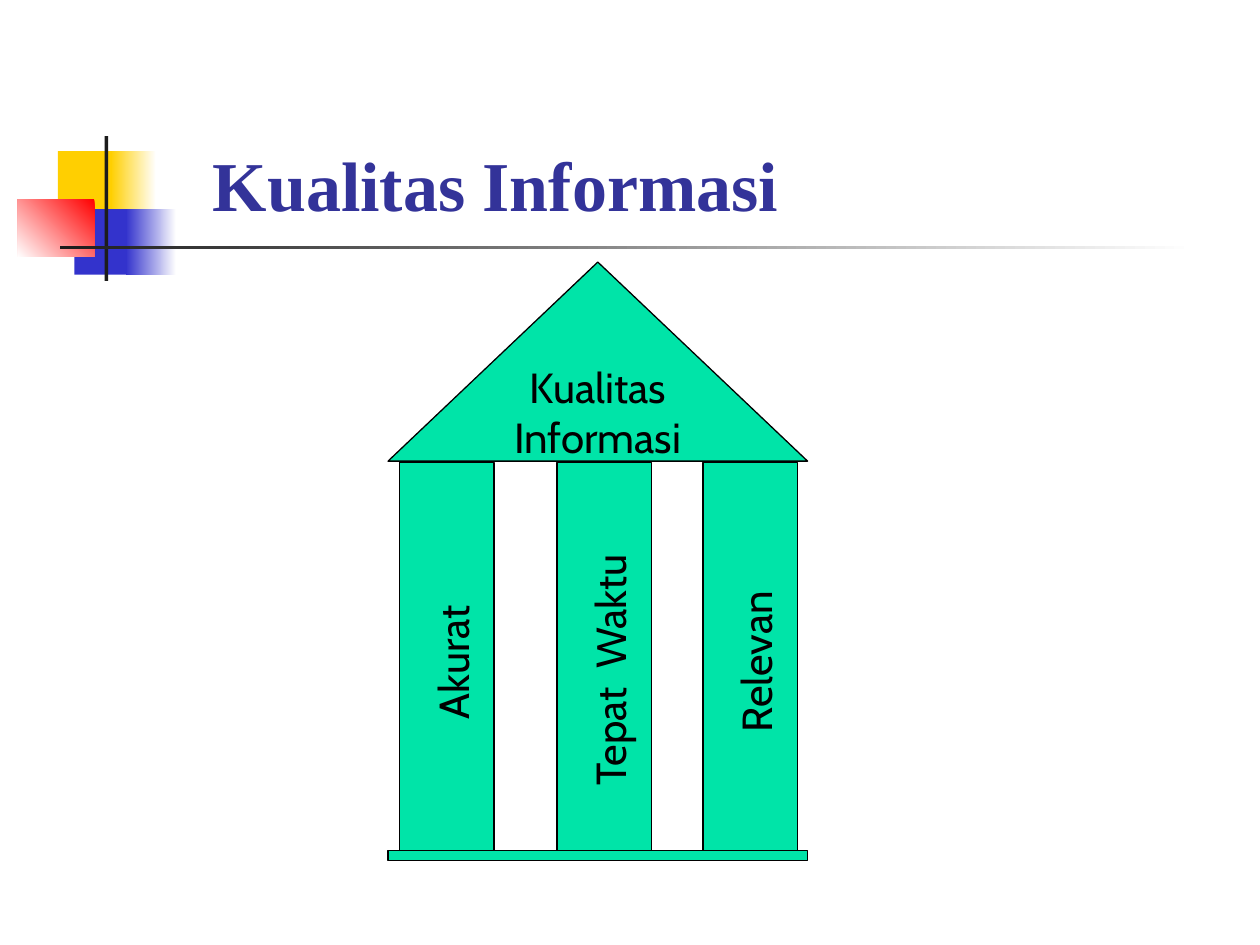
from pptx import Presentation
from pptx.dml.color import RGBColor
from pptx.enum.shapes import MSO_SHAPE
from pptx.enum.text import MSO_ANCHOR, MSO_AUTO_SIZE, PP_ALIGN
from pptx.util import Inches, Pt

COLORS = {
    "white": "FFFFFF", "yellow": "FFCF01", "blue": "3333CC", "red": "FF0000",
    "dark": "1C1C1C", "title": "333399", "green": "00E4A8", "black": "000000",
}


def rgb(name):
    """Return the named palette colour."""
    return RGBColor.from_string(COLORS[name])


def write(tf, text, size=24, font="Cabin", color="black", bold=False,
          align=PP_ALIGN.LEFT, anchor=MSO_ANCHOR.TOP, wrap=True, before=0):
    """Fill a text frame, one paragraph per line of text."""
    tf.word_wrap = wrap
    tf.vertical_anchor = anchor
    for i, line in enumerate(text.split("\n")):
        p = tf.add_paragraph() if i else tf.paragraphs[0]
        p.alignment = align
        p.space_before = Pt(before)
        r = p.add_run()
        r.text = line
        r.font.size = Pt(size)
        r.font.name = font
        r.font.bold = bold
        r.font.color.rgb = rgb(color)


class Deck:
    """Holds the current slide and its drawing style."""

    def __init__(self, s, line_width=0.74):
        self.s = s
        self.line_width = line_width

    def shape(self, x, y, w, h, fill, line=None, kind=MSO_SHAPE.RECTANGLE):
        """Add a solid preset shape."""
        sp = self.s.shapes.add_shape(kind, Inches(x), Inches(y), Inches(w), Inches(h))
        sp.shadow.inherit = False
        sp.fill.solid()
        sp.fill.fore_color.rgb = rgb(fill)
        if line:
            sp.line.color.rgb = rgb(line)
            sp.line.width = Pt(self.line_width)
        else:
            sp.line.fill.background()
        return sp

    def fade(self, x, y, w, h, start, end, angle=180):
        """Add a rectangle with a two-colour linear gradient."""
        sp = self.shape(x, y, w, h, start)
        sp.fill.gradient()
        sp.fill.gradient_angle = angle
        for stop, color in zip(sp.fill.gradient_stops, (start, end)):
            stop.color.rgb = rgb(color)

    def text(self, x, y, w, h, text, rotation=0, grow=False, **fmt):
        """Add a text box."""
        sp = self.s.shapes.add_textbox(Inches(x), Inches(y), Inches(w), Inches(h))
        sp.rotation = rotation
        write(sp.text_frame, text, **fmt)
        if grow:
            sp.text_frame.auto_size = MSO_AUTO_SIZE.SHAPE_TO_FIT_TEXT


def main():
    """Build the slide and save it."""
    prs = Presentation()
    prs.slide_width, prs.slide_height = Inches(10), Inches(7.5)
    deck = Deck(prs.slides.add_slide(prs.slide_layouts[6]))

    deck.shape(0.46, 1.2, 0.48, 0.52, "yellow")
    deck.fade(0.88, 1.2, 0.36, 0.52, "white", "yellow")
    deck.shape(0.59, 1.66, 0.46, 0.52, "blue")
    deck.fade(1, 1.66, 0.4, 0.52, "white", "blue")
    deck.fade(0.14, 1.58, 0.61, 0.46, "red", "white", angle=225)
    deck.shape(0.83, 1.08, 0.03, 1.15, "dark")
    deck.fade(0.48, 1.95, 9, 0.03, "white", "dark")
    deck.text(1.59, 1.08, 6.99, 0.76, "Kualitas Informasi", size=40,
              font="Times New Roman", color="title", bold=True,
              anchor=MSO_ANCHOR.BOTTOM)

    left, width, top, base = 3.08, 3.33, 3.67, 6.75
    roof = deck.shape(left, 2.08, width, 1.58, "green", "black",
                      MSO_SHAPE.ISOSCELES_TRIANGLE)
    write(roof.text_frame, "Kualitas\nInformasi", align=PP_ALIGN.CENTER,
          anchor=MSO_ANCHOR.MIDDLE, wrap=False)
    pillars = [(3.17, "Akurat", 1.89, 4.86), (4.42, "Tepat  Waktu", 2.42, 5.12),
               (5.58, "Relevan", 1.5, 5.16)]
    for x, *_ in pillars:
        deck.shape(x, top, 0.75, base - top, "green", "black")
    deck.shape(left, base, width, 0.08, "green", "black")
    for x, label, length, middle in pillars:
        deck.text(x + 0.42 - length / 2, middle - 0.25, length, 0.5, label,
                  rotation=270, grow=True, before=15)

    prs.save("out.pptx")


main()
